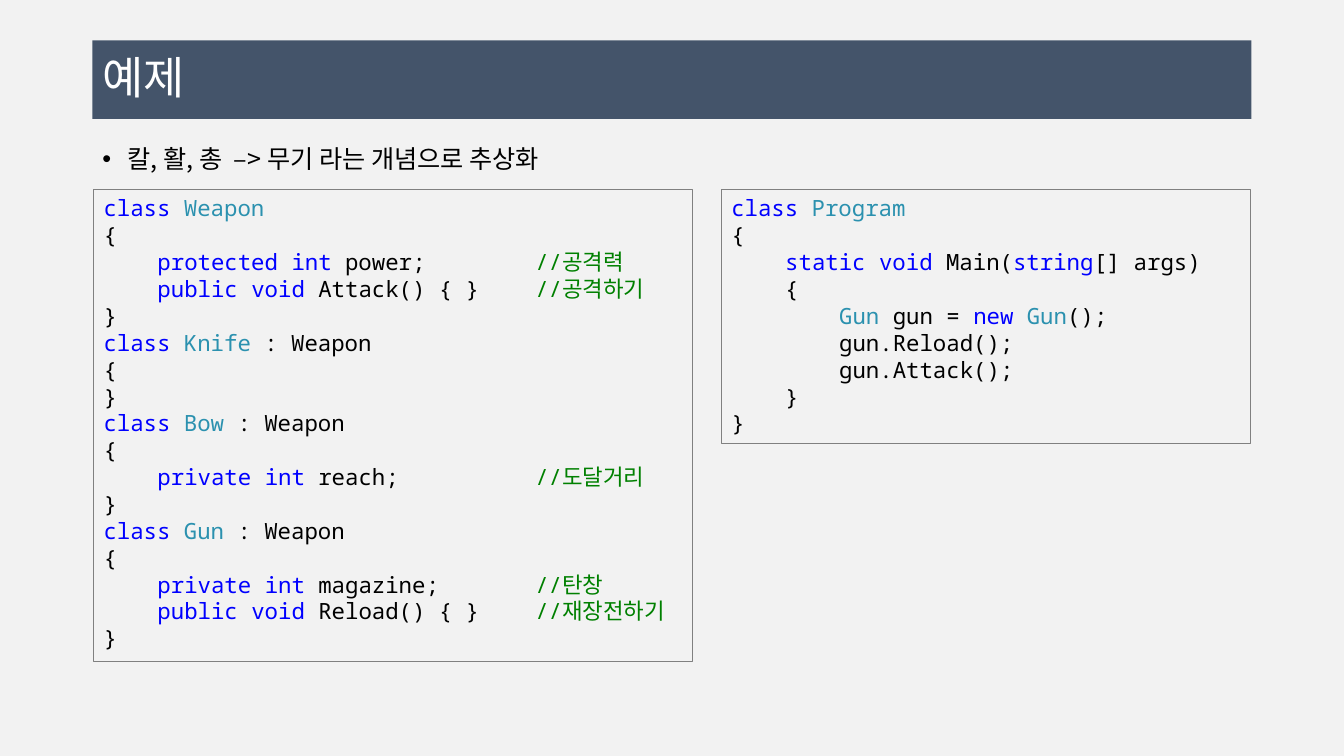
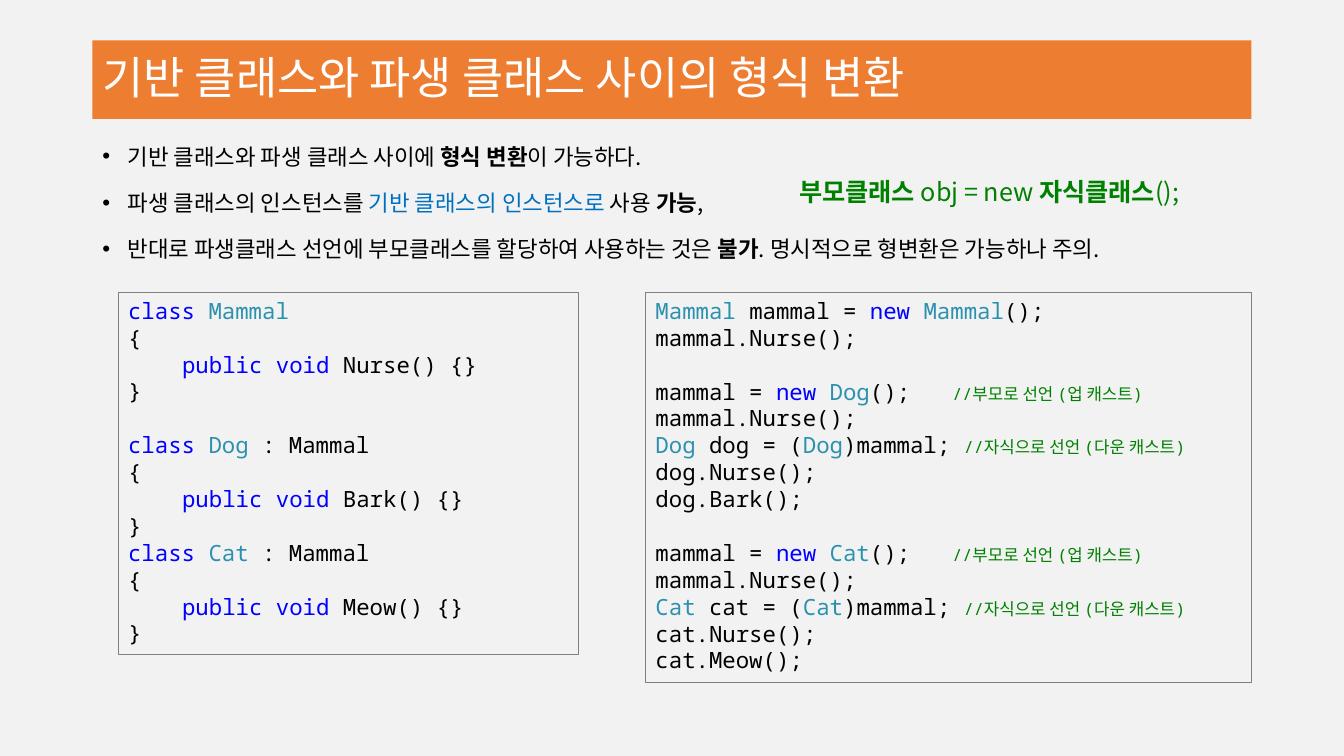
from itertools import groupby

from lxml import etree
from pptx import Presentation
from pptx.dml.color import RGBColor
from pptx.enum.shapes import MSO_SHAPE
from pptx.enum.text import MSO_ANCHOR, PP_ALIGN
from pptx.oxml.ns import qn
from pptx.util import Cm, Pt

RECT = MSO_SHAPE.RECTANGLE
TOP, MIDDLE = MSO_ANCHOR.TOP, MSO_ANCHOR.MIDDLE
LEFT = PP_ALIGN.LEFT

COLORS = {
    "background": "F2F2F2", "navy": "44546A", "orange": "ED7D31",
    "white": "FFFFFF", "text": "000000", "border": "808080",
    "keyword": "0000FF", "type": "2B91AF", "comment": "008000",
    "accent": "0070C0",
}
KEYWORDS = {"class", "protected", "private", "public", "static",
            "int", "void", "string", "new"}
TYPES = {"Weapon", "Knife", "Bow", "Gun", "Program", "Mammal", "Dog", "Cat"}
SANS, MONO = "Noto Sans CJK KR", "Noto Sans Mono"
CHAR_WIDTH = 0.34
LINE_HEIGHT = 0.68

WEAPONS = """class Weapon
{
    protected int power;    //공격력
    public void Attack() { }    //공격하기
}
class Knife : Weapon
{
}
class Bow : Weapon
{
    private int reach;    //도달거리
}
class Gun : Weapon
{
    private int magazine;    //탄창
    public void Reload() { }    //재장전하기
}"""

PROGRAM = """class Program
{
    static void Main(string[] args)
    {
        Gun gun = new Gun();
        gun.Reload();
        gun.Attack();
    }
}"""

MAMMALS = """class Mammal
{
    public void Nurse() {}
}

class Dog : Mammal
{
    public void Bark() {}
}
class Cat : Mammal
{
    public void Meow() {}
}"""

CASTS = """Mammal mammal = new Mammal();
mammal.Nurse();

mammal = new Dog();    //부모로 선언 (업 캐스트)
mammal.Nurse();
Dog dog = (Dog)mammal; //자식으로 선언 (다운 캐스트)
dog.Nurse();
dog.Bark();

mammal = new Cat();    //부모로 선언 (업 캐스트)
mammal.Nurse();
Cat cat = (Cat)mammal; //자식으로 선언 (다운 캐스트)
cat.Nurse();
cat.Meow();"""


def rgb(name):
    return RGBColor.from_string(COLORS[name])


def highlight(line):
    code, slashes, note = line.partition("//")
    before = ""
    for _, group in groupby(code, str.isalnum):
        token = "".join(group)
        if token in KEYWORDS:
            yield token, "keyword"
        elif token in TYPES and before != " : ":
            yield token, "type"
        else:
            yield token, "text"
        before = token
    if slashes:
        yield slashes + note, "comment"


class Deck:
    def __init__(self):
        self.prs = Presentation()
        self.prs.slide_width = Cm(33.87)
        self.prs.slide_height = Cm(19.05)
        self.s = None

    def slide(self, title, band):
        self.s = self.prs.slides.add_slide(self.prs.slide_layouts[6])
        fill = self.s.background.fill
        fill.solid()
        fill.fore_color.rgb = rgb("background")
        sp = self.rect(2.33, 1.02, 29.21, 1.98, MIDDLE)
        sp.fill.solid()
        sp.fill.fore_color.rgb = rgb(band)
        sp.line.fill.background()
        p = sp.text_frame.paragraphs[0]
        p.alignment = LEFT
        p.line_spacing = 0.9
        self.run(p, title, 32, "white")

    def rect(self, x, y, w, h, anchor):
        sp = self.s.shapes.add_shape(RECT, Cm(x), Cm(y), Cm(w), Cm(h))
        sp.shadow.inherit = False
        sp.text_frame.word_wrap = True
        sp.text_frame.vertical_anchor = anchor
        return sp

    def text_frame(self, x, y, w, h):
        tf = self.s.shapes.add_textbox(Cm(x), Cm(y), Cm(w), Cm(h)).text_frame
        tf.word_wrap = True
        return tf

    def run(self, p, text, size, color="text", bold=False, font=SANS):
        r = p.add_run()
        r.text = text
        r.font.size = Pt(size)
        r.font.bold = bold
        r.font.color.rgb = rgb(color)
        r.font.name = font
        etree.SubElement(r.font._element, qn("a:ea"), typeface=SANS)

    def paragraphs(self, tf, count):
        return [tf.paragraphs[0]] + [tf.add_paragraph() for _ in range(count - 1)]

    def bullets(self, items, size):
        tf = self.text_frame(2.33, 3.34, 29.21, 14.25)
        for p, runs in zip(self.paragraphs(tf, len(items)), items):
            p.line_spacing = 1.2
            p.space_before = Pt(10)
            pPr = p._p.get_or_add_pPr()
            pPr.set("marL", str(Cm(0.64)))
            pPr.set("indent", str(-Cm(0.64)))
            etree.SubElement(pPr, qn("a:buFont"), typeface="Arial")
            etree.SubElement(pPr, qn("a:buChar"), char="•")
            for text, color, bold in runs:
                self.run(p, text, size, color, bold)

    def code(self, x, y, w, h, source, note_column=32, note_size=16):
        sp = self.rect(x, y, w, h, TOP)
        sp.fill.background()
        sp.line.color.rgb = rgb("border")
        sp.line.width = Pt(0.75)
        lines = source.replace("    ", "\t").split("\n")
        shown = [(line, i > 0 and not lines[i - 1])
                 for i, line in enumerate(lines) if line]
        for p, (line, gap) in zip(self.paragraphs(sp.text_frame, len(shown)), shown):
            p.alignment = LEFT
            if gap:
                p.space_before = Cm(LINE_HEIGHT)
            tabs = etree.SubElement(p._p.get_or_add_pPr(), qn("a:tabLst"))
            for column in (4, 8, note_column):
                etree.SubElement(tabs, qn("a:tab"), algn="l",
                                 pos=str(Cm(column * CHAR_WIDTH)))
            for text, color in highlight(line):
                size = note_size if color == "comment" else 16
                self.run(p, text, size, color, font=MONO)

    def formula(self, x, y, w, h, runs):
        p = self.text_frame(x, y, w, h).paragraphs[0]
        for text, bold in runs:
            self.run(p, text, 18, "comment", bold)


def main():
    deck = Deck()

    deck.slide("예제", "navy")
    deck.bullets([[("칼, 활, 총  –> 무기 라는 개념으로 추상화", "text", False)]], 18)
    deck.code(2.36, 4.78, 15.09, 11.88, WEAPONS)
    deck.code(18.18, 4.78, 13.34, 6.4, PROGRAM)

    deck.slide("기반 클래스와 파생 클래스 사이의 형식 변환", "orange")
    deck.bullets([
        [("기반 클래스와 파생 클래스 사이에 ", "text", False),
         ("형식 변환", "text", True),
         ("이 가능하다.", "text", False)],
        [("파생 클래스의 인스턴스를 ", "text", False),
         ("기반 클래스의 인스턴스로", "accent", False),
         (" 사용 ", "text", False),
         ("가능", "text", True),
         (",", "text", False)],
        [("반대로 파생클래스 선언에 부모클래스를 할당하여 사용하는 것은 ", "text", False),
         ("불가", "text", True),
         (". 명시적으로 형변환은 가능하나 주의.", "text", False)],
    ], 16)
    deck.code(2.98, 7.36, 11.6, 9.14, MAMMALS)
    deck.code(16.27, 7.36, 15.27, 9.83, CASTS, note_column=22, note_size=12)
    deck.formula(19.89, 4.32, 11.65, 1.02, [
        ("부모클래스 ", True), ("obj = new ", False),
        ("자식클래스", True), ("();", False)])

    deck.prs.save("out.pptx")


if __name__ == "__main__":
    main()
